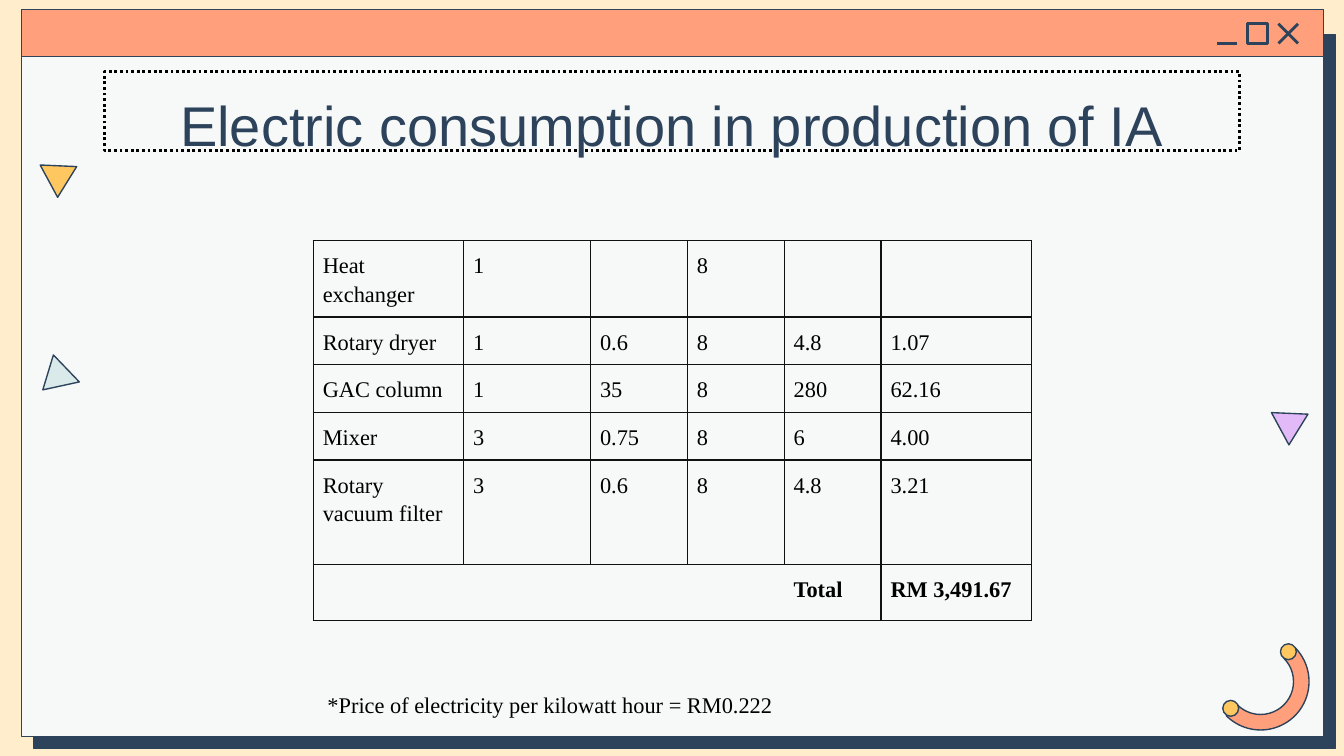
from lxml.etree import SubElement
from pptx import Presentation
from pptx.dml.color import RGBColor
from pptx.enum.dml import MSO_LINE
from pptx.enum.shapes import MSO_CONNECTOR, MSO_SHAPE
from pptx.enum.text import MSO_ANCHOR, MSO_AUTO_SIZE, PP_ALIGN
from pptx.oxml import parse_xml
from pptx.oxml.ns import nsdecls, qn
from pptx.util import Cm, Pt

COLORS = {
    "background": "FFEDCB",
    "panel": "F7F9F9",
    "navy": "2D435B",
    "coral": "FF9F7C",
    "yellow": "FFC75F",
    "mint": "DAEAEA",
    "lilac": "E1BAF7",
    "black": "000000",
    "border": "111111",
}

ROWS = [
    ["Heat exchanger", "1", "", "8", "", ""],
    ["Rotary dryer", "1", "0.6", "8", "4.8", "1.07"],
    ["GAC column", "1", "35", "8", "280", "62.16"],
    ["Mixer", "3", "0.75", "8", "6", "4.00"],
    ["Rotary vacuum filter", "3", "0.6", "8", "4.8", "3.21"],
    ["", "", "", "", "Total", "RM 3,491.67"],
]
COLUMN_WIDTHS = [2.84, 2.4, 1.83, 1.83, 1.83, 2.84]
ROW_HEIGHTS = [1.44, 0.89, 0.89, 0.89, 1.97, 1.07]

POINT_DOWN = [(0, 0), (0.33, 0.61), (0.69, 0.03)]
POINT_UP = [(0.2, 0), (0, 0.66), (0.69, 0.51)]


def color(name):
    return RGBColor.from_string(COLORS[name])


def paint(shape, fill=None):
    shape.shadow.inherit = False
    if fill:
        shape.fill.solid()
        shape.fill.fore_color.rgb = color(fill)
    else:
        shape.fill.background()
    shape.line.color.rgb = color("navy")
    shape.line.width = Pt(0.75)


def add_figure(slide, kind, left, top, width, height, fill=None):
    shape = slide.shapes.add_shape(kind, Cm(left), Cm(top), Cm(width), Cm(height))
    paint(shape, fill)
    return shape


def add_stroke(slide, *ends):
    stroke = slide.shapes.add_connector(MSO_CONNECTOR.STRAIGHT, *map(Cm, ends))
    stroke.line.color.rgb = color("navy")
    stroke.line.width = Pt(1.5)
    SubElement(stroke._element.spPr, qn("a:effectLst"))


def style_runs(paragraph, font, size, font_color, bold=False):
    for run in paragraph.runs:
        run.font.name = font
        run.font.size = Pt(size)
        run.font.bold = bold
        run.font.color.rgb = color(font_color)


def add_window(slide, left, top, width, height):
    panel = add_figure(slide, MSO_SHAPE.RECTANGLE, left, top + 0.25, width, height - 0.25, "panel")
    effects = panel._element.spPr.find(qn("a:effectLst"))
    effects.append(parse_xml(
        f'<a:outerShdw {nsdecls("a")} blurRad="0" dist="{Pt(9)}" dir="{46 * 60000}" '
        f'algn="bl" rotWithShape="0"><a:srgbClr val="{COLORS["navy"]}"/></a:outerShdw>'))
    add_figure(slide, MSO_SHAPE.RECTANGLE, left, top, width, 0.89, "coral")

    size, pitch = 0.37, 0.58
    minimise, maximise, close = (left + width - 2.02 + pitch * index for index in range(3))
    icon_top = top + 0.27
    icon_bottom = icon_top + size
    add_stroke(slide, minimise, icon_bottom, minimise + size, icon_bottom)
    square = add_figure(slide, MSO_SHAPE.RECTANGLE, maximise, icon_top, size, size)
    square.line.width = Pt(1.5)
    add_stroke(slide, close, icon_top, close + size, icon_bottom)
    add_stroke(slide, close, icon_bottom, close + size, icon_top)


def add_handle(slide, left, top, size):
    arc = add_figure(slide, MSO_SHAPE.BLOCK_ARC, left, top, size, size, "coral")
    arc.adjustments[0] = 315 * 0.6
    arc.adjustments[1] = 135 * 0.6
    arc.adjustments[2] = 0.16
    knob = 0.3
    for x, y in [(1.29, 0.2), (0.2, 1.27)]:
        add_figure(slide, MSO_SHAPE.OVAL, left + x, top + y, knob, knob, "yellow")


def add_triangle(slide, left, top, points, fill):
    corners = [(Cm(left + x), Cm(top + y)) for x, y in points]
    builder = slide.shapes.build_freeform(*corners[0])
    builder.add_line_segments(corners[1:], close=True)
    paint(builder.convert_to_shape(), fill)


def place_title(slide, left, top, width, height):
    title = slide.shapes.title
    slide.shapes._spTree.append(title._element)
    title.left, title.top, title.width, title.height = map(Cm, (left, top, width, height))
    title.line.color.rgb = color("black")
    title.line.width = Pt(1.5)
    title.line.dash_style = MSO_LINE.ROUND_DOT
    frame = title.text_frame
    frame.text = "Electric consumption in production of IA"
    frame.auto_size = MSO_AUTO_SIZE.NONE
    frame.vertical_anchor = MSO_ANCHOR.TOP
    frame.margin_top = Cm(0.36)
    frame.paragraphs[0].alignment = PP_ALIGN.CENTER
    style_runs(frame.paragraphs[0], "Arial", 30, "navy")


def set_borders(cell, visible):
    properties = cell._tc.get_or_add_tcPr()
    for index, side in enumerate("LRTB"):
        paint_xml = (f'<a:solidFill><a:srgbClr val="{COLORS["border"]}"/></a:solidFill>'
                     if side in visible else "<a:noFill/>")
        properties.insert(index, parse_xml(
            f'<a:ln{side} {nsdecls("a")} w="{Pt(0.83)}">{paint_xml}</a:ln{side}>'))


def add_consumption_table(slide, left, top):
    frame = slide.shapes.add_table(
        len(ROWS), len(COLUMN_WIDTHS), Cm(left), Cm(top),
        Cm(sum(COLUMN_WIDTHS)), Cm(sum(ROW_HEIGHTS)))
    table = frame.table
    table.first_row = table.horz_banding = False
    for column, width in zip(table.columns, COLUMN_WIDTHS):
        column.width = Cm(width)
    for row, height in zip(table.rows, ROW_HEIGHTS):
        row.height = Cm(height)

    total_row = len(ROWS) - 1
    for row_index, values in enumerate(ROWS):
        for column_index, value in enumerate(values):
            cell = table.cell(row_index, column_index)
            cell.fill.background()
            cell.margin_left = cell.margin_right = Cm(0.18)
            cell.margin_top = cell.margin_bottom = Cm(0.18)
            paragraph = cell.text_frame.paragraphs[0]
            paragraph.line_spacing = 1.15
            if value:
                paragraph.text = value
                style_runs(paragraph, "Times New Roman", 12, "black", row_index == total_row)
            else:
                SubElement(paragraph._p, qn("a:endParaRPr"), sz="1200")
            visible = "LRTB"
            if row_index == total_row and column_index < 5:
                visible = "TB" + {0: "L", 4: "R"}.get(column_index, "")
            set_borders(cell, visible)


def add_price_note(slide, left, top, width, height):
    box = slide.shapes.add_textbox(Cm(left), Cm(top), Cm(width), Cm(height))
    frame = box.text_frame
    frame.word_wrap = True
    frame.margin_left = frame.margin_right = Cm(0.25)
    frame.margin_top = frame.margin_bottom = Cm(0.25)
    frame.text = "*Price of electricity per kilowatt hour = RM0.222"
    paragraph = frame.paragraphs[0]
    paragraph.alignment = PP_ALIGN.JUSTIFY
    paragraph.line_spacing = 1.5
    style_runs(paragraph, "Times New Roman", 12, "black")


def main():
    presentation = Presentation()
    presentation.slide_width, presentation.slide_height = Cm(25.4), Cm(14.29)
    slide = presentation.slides.add_slide(presentation.slide_layouts[5])
    slide.background.fill.solid()
    slide.background.fill.fore_color.rgb = color("background")

    add_window(slide, 0.41, 0.18, 24.61, 13.74)
    add_handle(slide, 22.91, 11.97, 1.83)
    add_triangle(slide, 24.03, 7.8, POINT_DOWN, "lilac")
    add_triangle(slide, 0.81, 6.71, POINT_UP, "mint")
    add_triangle(slide, 0.76, 3.12, POINT_DOWN, "yellow")
    place_title(slide, 1.98, 1.35, 21.44, 1.5)
    add_consumption_table(slide, 5.92, 4.55)
    add_price_note(slide, 5.94, 12.57, 11.66, 1.02)

    presentation.save("out.pptx")


if __name__ == "__main__":
    main()
